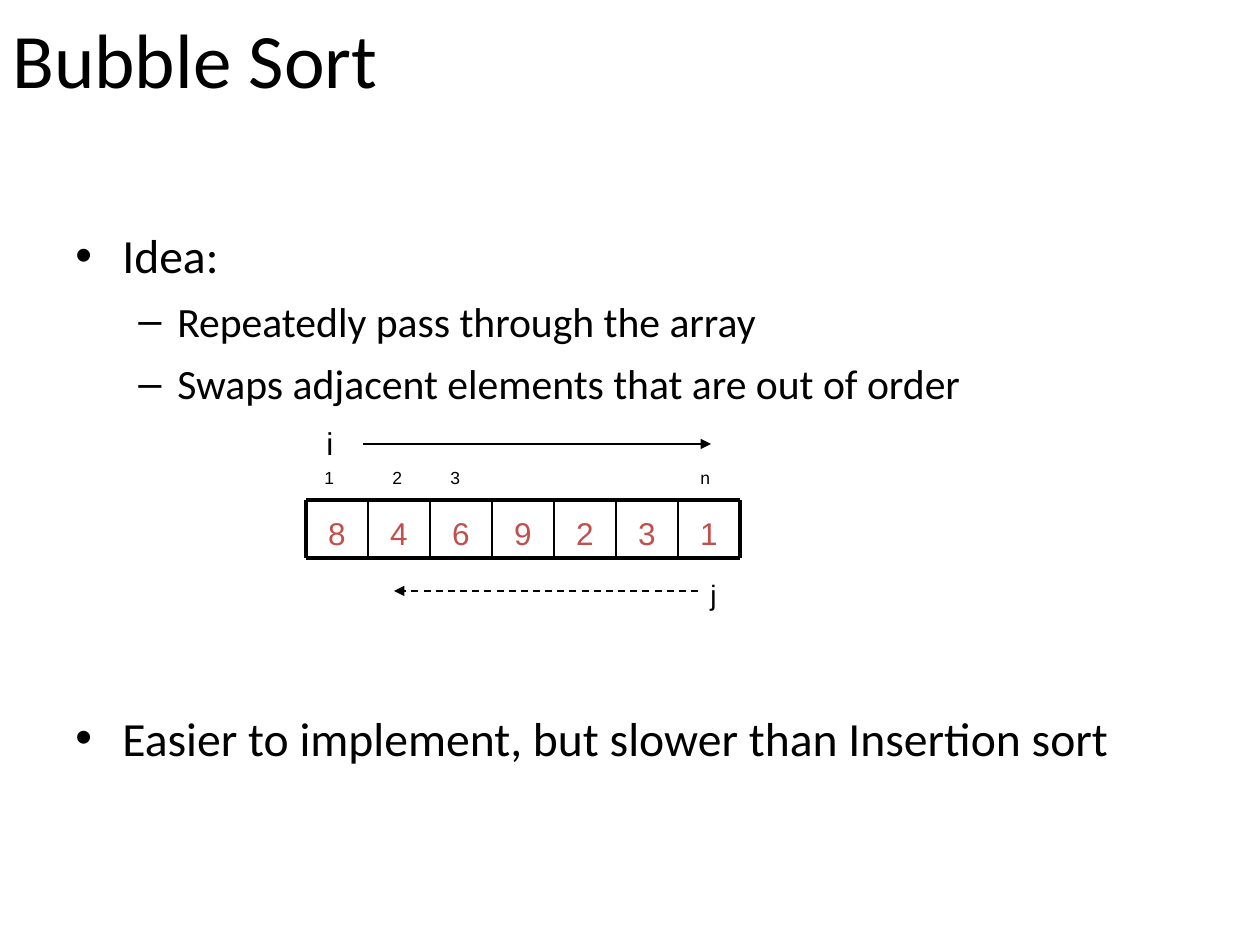
from dataclasses import dataclass

from lxml import etree
from pptx import Presentation
from pptx.dml.color import RGBColor
from pptx.enum.dml import MSO_LINE
from pptx.enum.shapes import MSO_CONNECTOR
from pptx.enum.text import MSO_ANCHOR, PP_ALIGN
from pptx.oxml.ns import qn
from pptx.util import Emu, Pt

SCALE = 914400 / 126
BLANK = 6
DASH = MSO_LINE.DASH
STRAIGHT = MSO_CONNECTOR.STRAIGHT
TOP, MIDDLE, BOTTOM = MSO_ANCHOR.TOP, MSO_ANCHOR.MIDDLE, MSO_ANCHOR.BOTTOM
LEFT, CENTER = PP_ALIGN.LEFT, PP_ALIGN.CENTER


def px(n):
    return Emu(round(n * SCALE))


@dataclass(frozen=True)
class Theme:
    ink: str = "000000"
    accent: str = "C0504D"
    sans: str = "Calibri"
    label: str = "Arial"
    title: float = 44
    point: float = 27.2
    detail: float = 23.8
    value: float = 18
    mark: float = 16
    index: float = 10
    thick: float = 2.25
    thin: float = 1
    fine: float = 0.75


class Deck:
    """Draws styled text, bullets and lines on one slide."""

    def __init__(self, theme, slide):
        self.theme = theme
        self.slide = slide

    def box(self, x, y, w, h, anchor=TOP, wrap=True):
        frame = self.slide.shapes.add_textbox(px(x), px(y), px(w), px(h)).text_frame
        frame.word_wrap = wrap
        frame.vertical_anchor = anchor
        return frame

    def style(self, para, text, size, face, color=None):
        para.text = text
        font = para.font
        font.size, font.name = Pt(size), face
        font.color.rgb = RGBColor.from_string(color or self.theme.ink)

    def text(self, x, y, w, h, text, size, face=None, color=None,
             anchor=TOP, align=LEFT, wrap=True):
        para = self.box(x, y, w, h, anchor, wrap).paragraphs[0]
        para.alignment = align
        self.style(para, text, size, face or self.theme.label, color)

    def bullets(self, x, y, w, h, items):
        frame = self.box(x, y, w, h)
        looks = (("•", 47, 47, self.theme.point), ("–", 102, 39, self.theme.detail))
        for i, (level, gap, text) in enumerate(items):
            para = frame.add_paragraph() if i else frame.paragraphs[0]
            sign, margin, hang, size = looks[level]
            para.level = level
            if gap:
                para.space_before = Pt(gap)
            props = para._p.get_or_add_pPr()
            props.set("marL", str(px(margin)))
            props.set("indent", str(-px(hang)))
            etree.SubElement(props, qn("a:buFont"), typeface="Arial")
            etree.SubElement(props, qn("a:buChar"), char=sign)
            self.style(para, text, size, self.theme.sans)

    def line(self, x1, y1, x2, y2, width, arrow=False, dash=None):
        link = self.slide.shapes.add_connector(STRAIGHT, px(x1), px(y1), px(x2), px(y2))
        link.line.width = Pt(width)
        link.line.color.rgb = RGBColor.from_string(self.theme.ink)
        if dash:
            link.line.dash_style = dash
        props = link._element.spPr
        if arrow:
            etree.SubElement(props.find(qn("a:ln")), qn("a:tailEnd"), type="triangle")
        etree.SubElement(props, qn("a:effectLst"))

    def array(self, x, y, cell, h, values):
        theme, count = self.theme, len(values)
        for i, value in enumerate(values):
            self.text(x + i * cell, y, cell, h, value, theme.value,
                      color=theme.accent, anchor=BOTTOM, align=CENTER)
        for edge in (y, y + h):
            self.line(x, edge, x + count * cell, edge, theme.thick)
        for i in range(count + 1):
            width = theme.thick if i in (0, count) else theme.thin
            self.line(x + i * cell, y, x + i * cell, y + h, width)


def main():
    prs = Presentation()
    prs.slide_width, prs.slide_height = px(1260), px(945)
    theme = Theme()
    deck = Deck(theme, prs.slides.add_slide(prs.slide_layouts[BLANK]))

    deck.text(0, -21, 1134, 157, "Bubble Sort", theme.title, theme.sans, anchor=MIDDLE)
    deck.bullets(63, 220, 1134, 624, (
        (0, 0, "Idea:"),
        (1, 7, "Repeatedly pass through the array"),
        (1, 7, "Swaps adjacent elements that are out of order"),
        (0, 172, "Easier to implement, but slower than Insertion sort"),
    ))
    for x, name in ((312, "1"), (380, "2"), (438, "3"), (688, "n")):
        deck.text(x, 461, 32, 34, name, theme.index)
    deck.text(314, 418, 32, 50, "i", theme.value, wrap=False)
    deck.line(363, 444, 711, 444, theme.fine, arrow=True)
    deck.array(306, 500, 62, 58, "8469231")
    deck.text(698, 571, 32, 47, "j", theme.mark, wrap=False)
    deck.line(698, 591, 394, 591, theme.thin, arrow=True, dash=DASH)

    prs.save("out.pptx")


if __name__ == "__main__":
    main()
